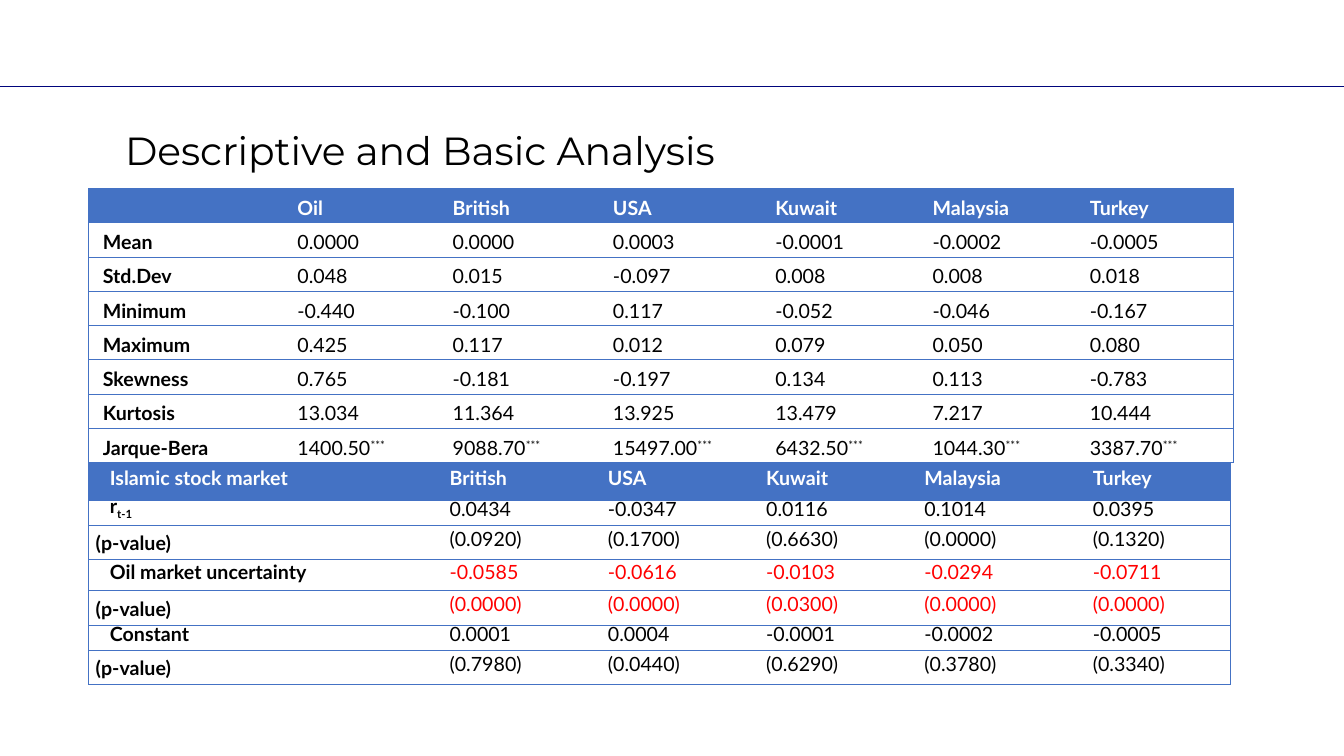
import pptx
import pptx.util
import pptx.dml.color
import pptx.enum.shapes
import pptx.enum.text
import pptx.oxml.ns
from lxml import etree

Inches, Pt = pptx.util.Inches, pptx.util.Pt
RGBColor = pptx.dml.color.RGBColor
qn = pptx.oxml.ns.qn
MIDDLE = pptx.enum.text.MSO_ANCHOR.MIDDLE

BLUE = RGBColor(0x44, 0x72, 0xC4)
NAVY = RGBColor(0x00, 0x05, 0x7C)
BLACK = RGBColor(0x00, 0x00, 0x00)
WHITE = RGBColor(0xFF, 0xFF, 0xFF)
RED = RGBColor(0xFF, 0x00, 0x00)
PLAIN_TABLE_STYLE = "{2D5ABB26-0587-4C30-8999-92F81FD0307C}"
P_VALUE = "(p-value)"

# "^" starts a superscript and "_" a subscript.
STATISTICS = [
    ["", "Oil", "British", "USA", "Kuwait", "Malaysia", "Turkey"],
    ["Mean", "0.0000", "0.0000", "0.0003", "-0.0001", "-0.0002", "-0.0005"],
    ["Std.Dev", "0.048", "0.015", "-0.097", "0.008", "0.008", "0.018"],
    ["Minimum", "-0.440", "-0.100", "0.117", "-0.052", "-0.046", "-0.167"],
    ["Maximum", "0.425", "0.117", "0.012", "0.079", "0.050", "0.080"],
    ["Skewness", "0.765", "-0.181", "-0.197", "0.134", "0.113", "-0.783"],
    ["Kurtosis", "13.034", "11.364", "13.925", "13.479", "7.217", "10.444"],
    ["Jarque-Bera", "1400.50^***", "9088.70^***", "15497.00^***",
     "6432.50^***", "1044.30^***", "3387.70^***"],
]
REGRESSION = [
    ["Islamic stock market", "British", "USA", "Kuwait", "Malaysia", "Turkey"],
    ["r_t-1", "0.0434", "-0.0347", "0.0116", "0.1014", "0.0395"],
    [P_VALUE, "(0.0920)", "(0.1700)", "(0.6630)", "(0.0000)", "(0.1320)"],
    ["Oil market uncertainty", "-0.0585", "-0.0616", "-0.0103", "-0.0294", "-0.0711"],
    [P_VALUE, "(0.0000)", "(0.0000)", "(0.0300)", "(0.0000)", "(0.0000)"],
    ["Constant", "0.0001", "0.0004", "-0.0001", "-0.0002", "-0.0005"],
    [P_VALUE, "(0.7980)", "(0.0440)", "(0.6290)", "(0.3780)", "(0.3340)"],
]


class SlideBuilder:
    title_font, body_font = "Montserrat", "Lato"
    title_size, body_size = Pt(28), Pt(14)

    def __init__(self, s):
        self.s = s

    def rule(self, y, width):
        line = self.s.shapes.add_connector(
            pptx.enum.shapes.MSO_CONNECTOR.STRAIGHT, 0, y, width, y)
        line.line.color.rgb = NAVY
        line.line.width = Pt(0.75)
        etree.SubElement(line.element.spPr, qn("a:effectLst"))

    def title(self, text, left, top, width, height):
        sp = self.s.shapes.title
        sp.left, sp.top, sp.width, sp.height = left, top, width, height
        tf = sp.text_frame
        tf.text = text
        tf.word_wrap = True
        tf.vertical_anchor = MIDDLE
        p = tf.paragraphs[0]
        p.alignment = pptx.enum.text.PP_ALIGN.CENTER
        self.style_run(p.runs[0], self.title_font, self.title_size, BLACK, False)

    def style_run(self, r, name, size, color, bold):
        r.font.name, r.font.size, r.font.bold = name, size, bold
        r.font.color.rgb = color

    def table(self, rows, left, top, widths, heights, inset, spacing, after, red_rows=()):
        sp = self.s.shapes.add_table(len(rows), len(widths), left, top,
                                     Inches(sum(widths)), Inches(sum(heights)))
        sp.element.find(".//" + qn("a:tableStyleId")).text = PLAIN_TABLE_STYLE
        table = sp.table
        table.horz_banding = False
        for column, width in zip(table.columns, widths):
            column.width = Inches(width)
        for row, height in zip(table.rows, heights):
            row.height = Inches(height)
        for i, texts in enumerate(rows):
            for j, text in enumerate(texts):
                cell = table.cell(i, j)
                cell.margin_left = cell.margin_right = inset
                cell.margin_top = cell.margin_bottom = 0
                cell.vertical_anchor = MIDDLE
                self.borders(cell, j == 0, j == len(texts) - 1)
                if i == 0:
                    cell.fill.solid()
                    cell.fill.fore_color.rgb = BLUE
                    color = WHITE
                else:
                    cell.fill.background()
                    color = RED if i in red_rows and j else BLACK
                p = cell.text_frame.paragraphs[0]
                if text == P_VALUE:
                    p.line_spacing = 1.07
                else:
                    p.line_spacing, p.space_after = spacing, after
                    pPr = p._p.get_or_add_pPr()
                    pPr.set("marL", "0")
                    pPr.set("indent", str(Inches(0.14)))
                self.cell_text(p, text, color, i == 0 or j == 0)

    def cell_text(self, p, text, color, bold):
        """Write text whose part after "^" is raised and after "_" lowered."""
        mark, baseline = ("^", "30000") if "^" in text else ("_", "-25000")
        base, _, script = text.partition(mark)
        p.text = base
        if script:
            r = p.add_run()
            r.text = script
            r.font._element.set("baseline", baseline)
        for r in p.runs:
            self.style_run(r, self.body_font, self.body_size, color, bold)

    def borders(self, cell, first, last):
        """Draw horizontal borders, and vertical ones at the table's ends."""
        tcPr = cell._tc.get_or_add_tcPr()
        for side, shown in (("L", first), ("R", last), ("T", True), ("B", True)):
            ln = etree.SubElement(tcPr, qn("a:ln" + side), w=str(Pt(0.5)))
            if shown:
                fill = etree.SubElement(ln, qn("a:solidFill"))
                etree.SubElement(fill, qn("a:srgbClr"), val=str(BLUE))
            else:
                etree.SubElement(ln, qn("a:noFill"))


def main():
    prs = pptx.Presentation()
    prs.slide_width, prs.slide_height = Inches(13.33), Inches(7.5)
    slide = SlideBuilder(prs.slides.add_slide(prs.slide_layouts[5]))
    slide.rule(Inches(0.86), prs.slide_width)
    slide.title("Descriptive and Basic Analysis",
                Inches(0.78), Inches(1.2), Inches(6.77), Inches(0.57))
    slide.table(REGRESSION, Inches(0.88), Inches(4.59),
                [3.37, 1.57, 1.57, 1.57, 1.67, 1.57],
                [0.37, 0.25, 0.34, 0.31, 0.34, 0.25, 0.34],
                Inches(0.07), Pt(12), Pt(5), red_rows=(3, 4))
    slide.table(STATISTICS, Inches(0.88), Inches(1.87),
                [1.93, 1.54, 1.59, 1.61, 1.56, 1.56, 1.56],
                [0.34] * len(STATISTICS), 0, Pt(20), Pt(0))
    prs.save("out.pptx")


if __name__ == "__main__":
    main()
